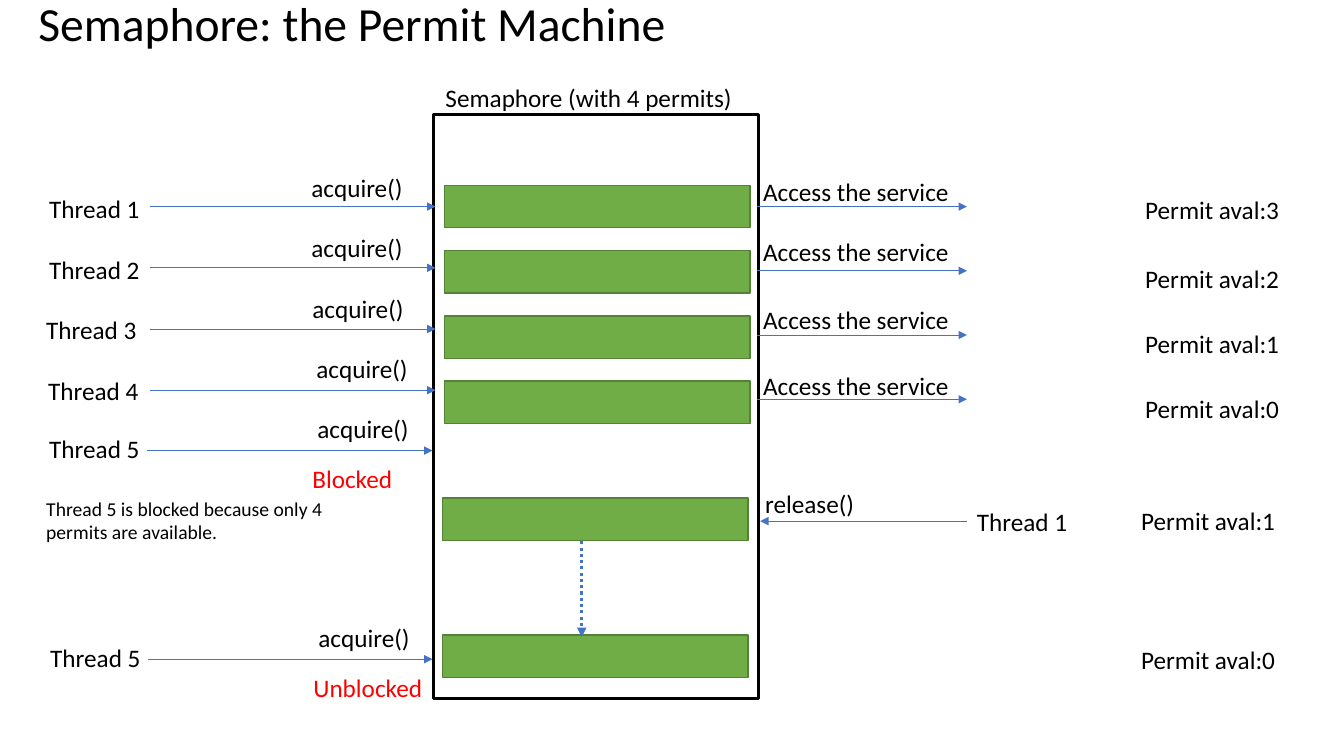
from lxml import etree
from pptx import Presentation
from pptx.dml.color import RGBColor
from pptx.enum.dml import MSO_LINE
from pptx.enum.shapes import MSO_CONNECTOR, MSO_SHAPE
from pptx.enum.text import MSO_ANCHOR, PP_ALIGN
from pptx.oxml.ns import qn
from pptx.util import Inches, Pt

RECT, LINE, DOTS = MSO_SHAPE.RECTANGLE, MSO_CONNECTOR.STRAIGHT, MSO_LINE.ROUND_DOT
LEFT, BOTTOM = PP_ALIGN.LEFT, MSO_ANCHOR.BOTTOM
BLACK = RGBColor(0, 0, 0)
RED = RGBColor(0xFF, 0, 0)
GREEN = RGBColor(0x70, 0xAD, 0x47)
EDGE = RGBColor(0x53, 0x81, 0x35)
BLUE = RGBColor(0x44, 0x72, 0xC4)
FONT = "Calibri"

TITLE = "Semaphore: the Permit Machine"
HEAD = "Semaphore (with 4 permits)"
NOTE = "Thread 5 is blocked because only 4 permits are available."
# thread, its left, left of acquire(), top of access label, permits, top of permits
GRANTS = [
    ("Thread 1", 0.39, 2.99, 1.70, "Permit aval:3", 1.88),
    ("Thread 2", 0.39, 2.99, 2.30, "Permit aval:2", 2.56),
    ("Thread 3", 0.36, 3.00, 2.97, "Permit aval:1", 3.21),
    ("Thread 4", 0.38, 3.04, 3.62, "Permit aval:0", 3.85),
]
# state of thread 5, arrow height
WAITS = [("Blocked", 4.47), ("Unblocked", 6.54)]

THREAD_W, CALL_W, ACCESS_W, PERMIT_W = 1.1, 1.3, 2.09, 1.59
TOP, STEP = 1.87, 0.6
IN_Y, IN_STEP = 2.05, 0.607
OUT_STEP = 0.637
BAR_Y, BAR_STEP = 1.84, 0.647
OUT_X, END_X = 7.51, 9.59

prs = Presentation()
prs.slide_width, prs.slide_height = Inches(13.33), Inches(7.5)
slide = prs.slides.add_slide(prs.slide_layouts[5])


def style(frame, text, size, color):
    frame.text = text
    frame.word_wrap = True
    para = frame.paragraphs[0]
    para.alignment = LEFT
    font = para.runs[0].font
    font.name, font.size, font.color.rgb = FONT, Pt(size), color


def label(text, x, y, w, color=BLACK, size=18, h=0.4):
    box = slide.shapes.add_textbox(Inches(x), Inches(y), Inches(w), Inches(h))
    style(box.text_frame, text, size, color)


def block(x, y, w, h, fill, edge, width):
    shape = slide.shapes.add_shape(RECT, Inches(x), Inches(y), Inches(w), Inches(h))
    shape.shadow.inherit = False
    if fill is None:
        shape.fill.background()
    else:
        shape.fill.solid()
        shape.fill.fore_color.rgb = fill
    shape.line.color.rgb, shape.line.width = edge, Pt(width)


def permit(x, y):
    block(x, y, 3.03, 0.42, GREEN, EDGE, 1)


def arrow(x1, y1, x2, y2, width=0.5, dash=None):
    link = slide.shapes.add_connector(LINE, Inches(x1), Inches(y1), Inches(x2), Inches(y2))
    link.line.color.rgb, link.line.width = BLUE, Pt(width)
    if dash is not None:
        link.line.dash_style = dash
    etree.SubElement(link.line._get_or_add_ln(), qn("a:tailEnd"), type="triangle")
    etree.SubElement(link._element.spPr, qn("a:effectLst"))


title = slide.shapes.title
title.left, title.top, title.width, title.height = map(Inches, (0.28, 0.04, 10, 0.52))
style(title.text_frame, TITLE, 34, BLACK)
title.text_frame.vertical_anchor = BOTTOM
title.text_frame.paragraphs[0].line_spacing = 0.9

label(HEAD, 4.32, 0.77, 3.22)
block(4.3, 1.14, 3.22, 5.79, None, BLACK, 2.25)

for i, (thread, x, call_x, access_y, count, count_y) in enumerate(GRANTS):
    in_y, out_y = IN_Y + i * IN_STEP, IN_Y + i * OUT_STEP
    permit(4.41, BAR_Y + i * BAR_STEP)
    arrow(1.49, in_y, 4.32, in_y)
    arrow(OUT_X, out_y, END_X, out_y)
    label(thread, x, TOP + i * STEP, THREAD_W)
    label("acquire()", call_x, TOP - 0.21 + i * STEP, CALL_W)
    label("Access the service", 7.47, access_y, ACCESS_W)
    label(count, 11.26, count_y, PERMIT_W)

for i, (state, y) in enumerate(WAITS):
    shift = i * 0.01
    label("Thread 5", 0.39 + shift, y - 0.22, THREAD_W)
    arrow(1.46 + shift, y, 4.29, y)
    label("acquire()", 3.05 + shift, y - 0.42, CALL_W)
    label(state, 3 + shift, y + 0.08, CALL_W, RED)

label(NOTE, 0.36, 4.88, 3.22, size=14, h=0.57)

arrow(END_X, 5.17, 7.54, 5.17)
label("Thread 1", END_X, 4.97, THREAD_W)
label("release()", 7.49, 4.8, CALL_W)
label("Permit aval:1", 11.22, 4.96, PERMIT_W)
permit(4.39, 4.94)
permit(4.39, 6.3)
arrow(5.77, 5.37, 5.77, 6.32, 2.25, DOTS)
label("Permit aval:0", 11.22, 6.34, PERMIT_W)

prs.save("out.pptx")
